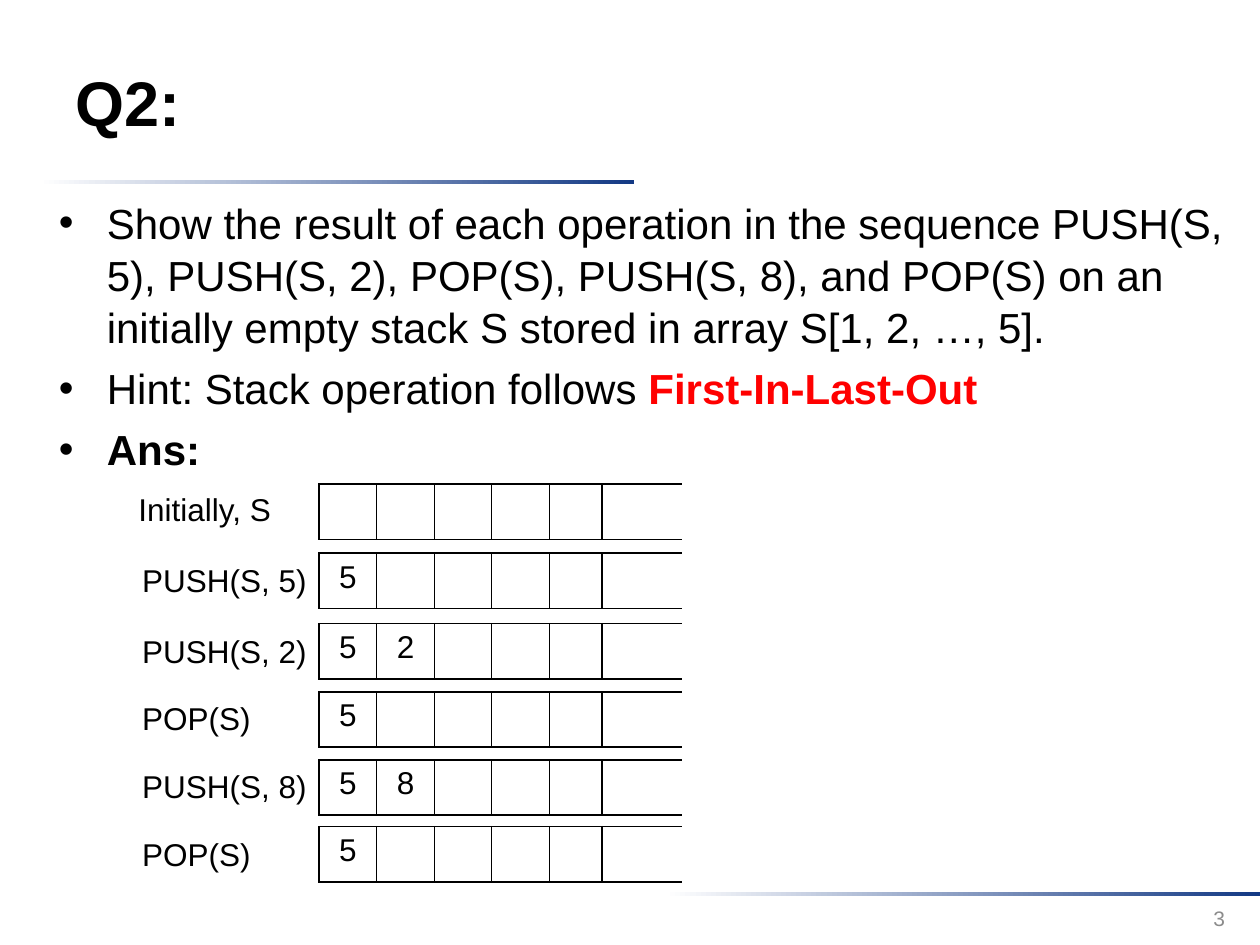
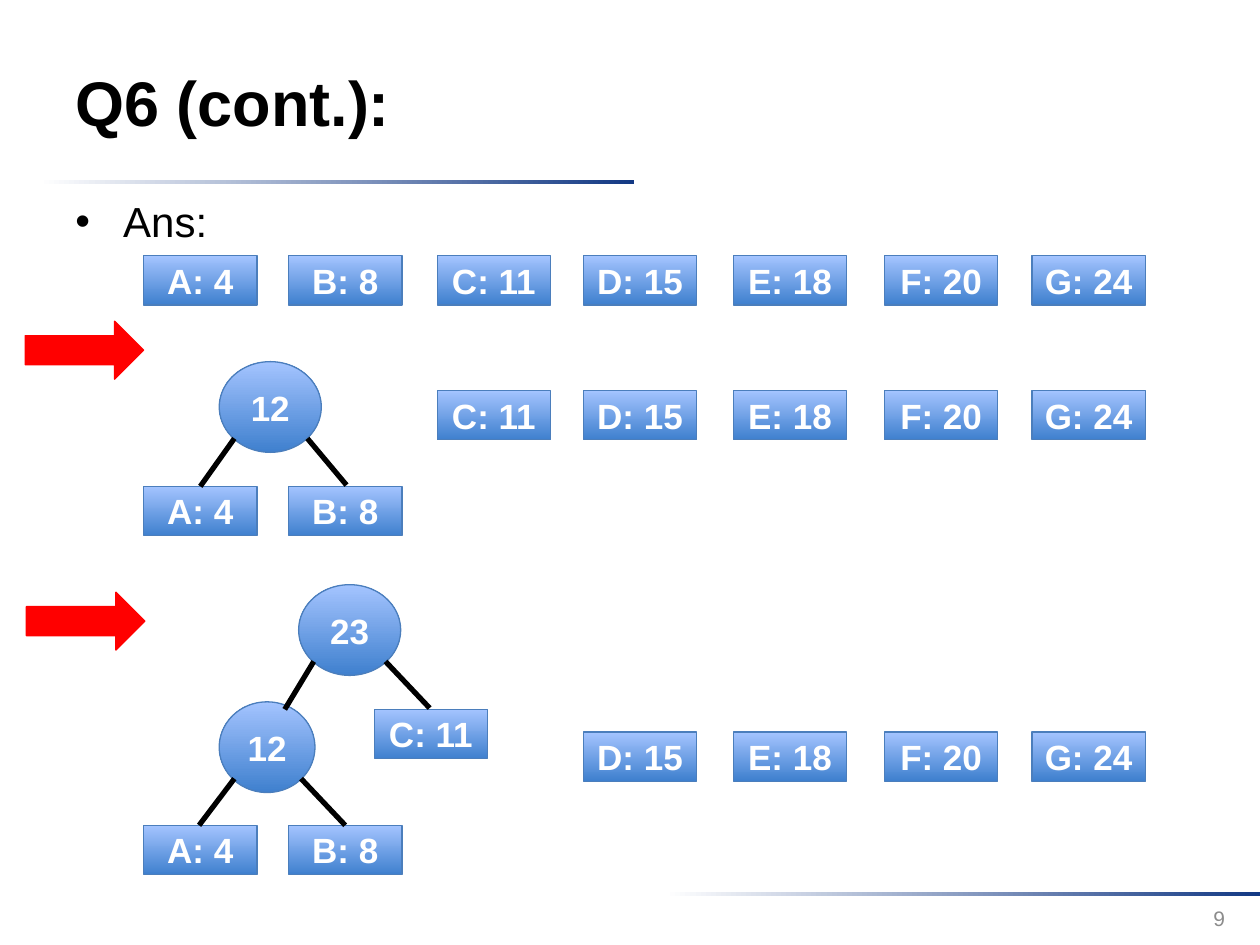
from dataclasses import dataclass

import lxml.etree
import pptx
import pptx.dml.color
import pptx.enum.shapes
import pptx.enum.text
import pptx.oxml.ns
import pptx.util

Inches = pptx.util.Inches
Pt = pptx.util.Pt
qn = pptx.oxml.ns.qn
Shapes = pptx.enum.shapes.MSO_SHAPE
Align = pptx.enum.text.PP_ALIGN
Anchor = pptx.enum.text.MSO_ANCHOR

FONT = "Arial"
BLACK, WHITE, RED, GREY = "000000", "FFFFFF", "FF0000", "8C8C8C"
NAVY, NODE_DARK, NODE_LIGHT, NODE_LINE = "133984", "3F80CE", "A4C4FF", "4B7EBC"

CELL_WIDTHS = (0.46, 0.46, 0.45, 0.46, 0.42, 0.63)
CELL_HEIGHT = 0.44
STACK_LEFT = 2.53
LEAF_SIZE = (0.9, 0.39)
LEAVES = {
    "A: 4": 1.14, "B: 8": 2.29, "C: 11": 3.47, "D: 15": 4.63,
    "E: 18": 5.82, "F: 20": 7.02, "G: 24": 8.19,
}


@dataclass
class Run:
    text: str
    color: str = BLACK
    bold: bool = False


@dataclass
class StackStep:
    label: str
    label_left: float
    label_top: float
    table_top: float
    values: tuple[str, ...] = ()


@dataclass
class Parent:
    value: str
    left: float
    top: float
    width: float = 0.81


@dataclass
class Edge:
    start: tuple[float, float]
    end: tuple[float, float]


STACK_STEPS = (
    StackStep("Initially, S", 1, 3.84, 3.84),
    StackStep("PUSH(S, 5)", 1.03, 4.4, 4.39, ("5",)),
    StackStep("PUSH(S, 2)", 1.03, 4.97, 4.95, ("5", "2")),
    StackStep("POP(S)", 1.03, 5.5, 5.49, ("5",)),
    StackStep("PUSH(S, 8)", 1.03, 6.04, 6.03, ("5", "8")),
    StackStep("POP(S)", 1.03, 6.58, 6.56, ("5",)),
)
PARENTS = (
    Parent("12", 1.74, 2.87),
    Parent("12", 1.74, 5.57, 0.76),
    Parent("23", 2.37, 4.64),
)
EDGES = (
    Edge((1.86, 3.48), (1.59, 3.86)),
    Edge((2.44, 3.48), (2.75, 3.85)),
    Edge((1.86, 6.18), (1.58, 6.55)),
    Edge((2.39, 6.18), (2.74, 6.55)),
    Edge((2.49, 5.25), (2.26, 5.63)),
    Edge((3.06, 5.25), (3.41, 5.62)),
)


def rgb(color: str) -> pptx.dml.color.RGBColor:
    return pptx.dml.color.RGBColor.from_string(color)


def set_font(font, size: float, color: str = BLACK, bold: bool = False) -> None:
    font.name = FONT
    font.size = Pt(size)
    font.bold = bold
    font.color.rgb = rgb(color)


def set_gradient(shape, first: str, last: str, angle: float) -> None:
    shape.fill.gradient()
    shape.fill.gradient_angle = angle
    for stop, color, position in zip(shape.fill.gradient_stops, (first, last), (0, 1)):
        stop.color.rgb = rgb(color)
        stop.position = position


def add_shape(slide, kind, left: float, top: float, width: float, height: float):
    shape = slide.shapes.add_shape(
        kind, Inches(left), Inches(top), Inches(width), Inches(height))
    shape.shadow.inherit = False
    return shape


def add_text(slide, text: str, left: float, top: float, width: float, height: float,
             size: float, color: str = BLACK, bold: bool = False, align=Align.LEFT,
             anchor=Anchor.TOP, wrap: bool = True) -> None:
    box = slide.shapes.add_textbox(
        Inches(left), Inches(top), Inches(width), Inches(height))
    box.text_frame.word_wrap = wrap
    box.text_frame.vertical_anchor = anchor
    paragraph = box.text_frame.paragraphs[0]
    paragraph.text = text
    paragraph.alignment = align
    set_font(paragraph.font, size, color, bold)


def add_bullets(slide, bullets: list[list[Run]], left: float, top: float,
                width: float, height: float) -> None:
    box = slide.shapes.add_textbox(
        Inches(left), Inches(top), Inches(width), Inches(height))
    frame = box.text_frame
    frame.word_wrap = True
    for index, runs in enumerate(bullets):
        paragraph = frame.add_paragraph() if index else frame.paragraphs[0]
        properties = paragraph._p.get_or_add_pPr()
        properties.set("marL", str(Inches(0.38)))
        properties.set("indent", str(-Inches(0.38)))
        lxml.etree.SubElement(properties, qn("a:buFont")).set("typeface", FONT)
        lxml.etree.SubElement(properties, qn("a:buChar")).set("char", "•")
        paragraph.line_spacing = 1.04
        if index:
            paragraph.space_before = Pt(4.8)
        set_font(paragraph.font, 24)
        for part in runs:
            run = paragraph.add_run()
            run.text = part.text
            run.font.bold = part.bold
            run.font.color.rgb = rgb(part.color)


def add_base_slide(presentation, title: str, number: str):
    slide = presentation.slides.add_slide(presentation.slide_layouts[6])
    for left, top in ((0.31, 1.43), (5.28, 7.08)):
        band = add_shape(slide, Shapes.RECTANGLE, left, top, 4.72, 0.03)
        set_gradient(band, WHITE, NAVY, 0)
        band.line.fill.background()
    add_text(slide, title, 0.5, 0.18, 7.73, 1.25, 36, bold=True, anchor=Anchor.MIDDLE)
    add_text(slide, number, 7.49, 7.09, 2.33, 0.4, 12, GREY,
             align=Align.RIGHT, anchor=Anchor.MIDDLE)
    return slide


def set_borders(cell, open_right: bool) -> None:
    properties = cell._tc.get_or_add_tcPr()
    for index, side in enumerate(("lnL", "lnR", "lnT", "lnB")):
        line = lxml.etree.Element(qn(f"a:{side}"), w=str(Pt(1)))
        if side == "lnR" and open_right:
            lxml.etree.SubElement(line, qn("a:noFill"))
        else:
            fill = lxml.etree.SubElement(line, qn("a:solidFill"))
            lxml.etree.SubElement(fill, qn("a:srgbClr")).set("val", BLACK)
        properties.insert(index, line)


def add_stack(slide, step: StackStep) -> None:
    add_text(slide, step.label, step.label_left, step.label_top, 1.52, 0.4, 18, wrap=False)
    table = slide.shapes.add_table(
        1, len(CELL_WIDTHS), Inches(STACK_LEFT), Inches(step.table_top),
        Inches(sum(CELL_WIDTHS)), Inches(CELL_HEIGHT)).table
    table.first_row = False
    table.horz_banding = False
    for index, width in enumerate(CELL_WIDTHS):
        table.columns[index].width = Inches(width)
        cell = table.cell(0, index)
        cell.fill.background()
        set_borders(cell, open_right=index == len(CELL_WIDTHS) - 1)
        paragraph = cell.text_frame.paragraphs[0]
        if index < len(step.values):
            paragraph.text = step.values[index]
        paragraph.alignment = Align.CENTER
        set_font(paragraph.font, 18)


def add_node(slide, kind, text: str, left: float, top: float,
             width: float, height: float) -> None:
    node = add_shape(slide, kind, left, top, width, height)
    set_gradient(node, NODE_DARK, NODE_LIGHT, 90)
    node.line.color.rgb = rgb(NODE_LINE)
    node.line.width = Pt(0.75)
    frame = node.text_frame
    frame.margin_left = frame.margin_right = 0
    frame.vertical_anchor = Anchor.MIDDLE
    paragraph = frame.paragraphs[0]
    paragraph.text = text
    paragraph.alignment = Align.CENTER
    set_font(paragraph.font, 20, WHITE, bold=True)


def add_leaf(slide, text: str, left: float, top: float) -> None:
    add_node(slide, Shapes.RECTANGLE, text, left, top, *LEAF_SIZE)


def add_leaf_row(slide, top: float, first: int, last: int = len(LEAVES)) -> None:
    for text, left in list(LEAVES.items())[first:last]:
        add_leaf(slide, text, left, top)


def add_edge(slide, edge: Edge) -> None:
    connector = slide.shapes.add_connector(
        pptx.enum.shapes.MSO_CONNECTOR.STRAIGHT,
        *(Inches(value) for value in edge.start + edge.end))
    connector.line.color.rgb = rgb(BLACK)
    connector.line.width = Pt(3)
    lxml.etree.SubElement(connector._element.spPr, qn("a:effectLst"))


def add_step_arrow(slide, left: float, top: float) -> None:
    arrow = add_shape(slide, Shapes.RIGHT_ARROW, left, top, 0.94, 0.46)
    arrow.fill.solid()
    arrow.fill.fore_color.rgb = rgb(RED)
    arrow.line.color.rgb = rgb(RED)
    arrow.line.width = Pt(0.75)


def build_stack_slide(presentation) -> None:
    slide = add_base_slide(presentation, "Q2:", "3")
    question = ("Show the result of each operation in the sequence PUSH(S, 5), "
                "PUSH(S, 2), POP(S), PUSH(S, 8), and POP(S) on an initially empty "
                "stack S stored in array S[1, 2, …, 5].")
    bullets = [
        [Run(question)],
        [Run("Hint: Stack operation follows "), Run("First-In-Last-Out", RED, True)],
        [Run("Ans:", bold=True)],
    ]
    add_bullets(slide, bullets, 0.37, 1.5, 9.5, 4.95)
    for step in STACK_STEPS:
        add_stack(slide, step)


def build_tree_slide(presentation) -> None:
    slide = add_base_slide(presentation, "Q6 (cont.):", "9")
    add_bullets(slide, [[Run("Ans:")]], 0.5, 1.49, 9, 0.7)
    add_leaf_row(slide, 2.03, 0)
    add_leaf_row(slide, 3.1, 2)
    add_leaf_row(slide, 3.86, 0, 2)
    add_leaf_row(slide, 5.81, 3)
    add_leaf_row(slide, 6.55, 0, 2)
    add_leaf(slide, "C: 11", 2.97, 5.63)
    add_step_arrow(slide, 0.2, 2.55)
    add_step_arrow(slide, 0.21, 4.7)
    for parent in PARENTS:
        add_node(slide, Shapes.OVAL, parent.value, parent.left, parent.top,
                 parent.width, 0.72)
    for edge in EDGES:
        add_edge(slide, edge)


def main() -> None:
    presentation = pptx.Presentation()
    presentation.slide_width = Inches(10)
    presentation.slide_height = Inches(7.5)
    build_stack_slide(presentation)
    build_tree_slide(presentation)
    presentation.save("out.pptx")


if __name__ == "__main__":
    main()
